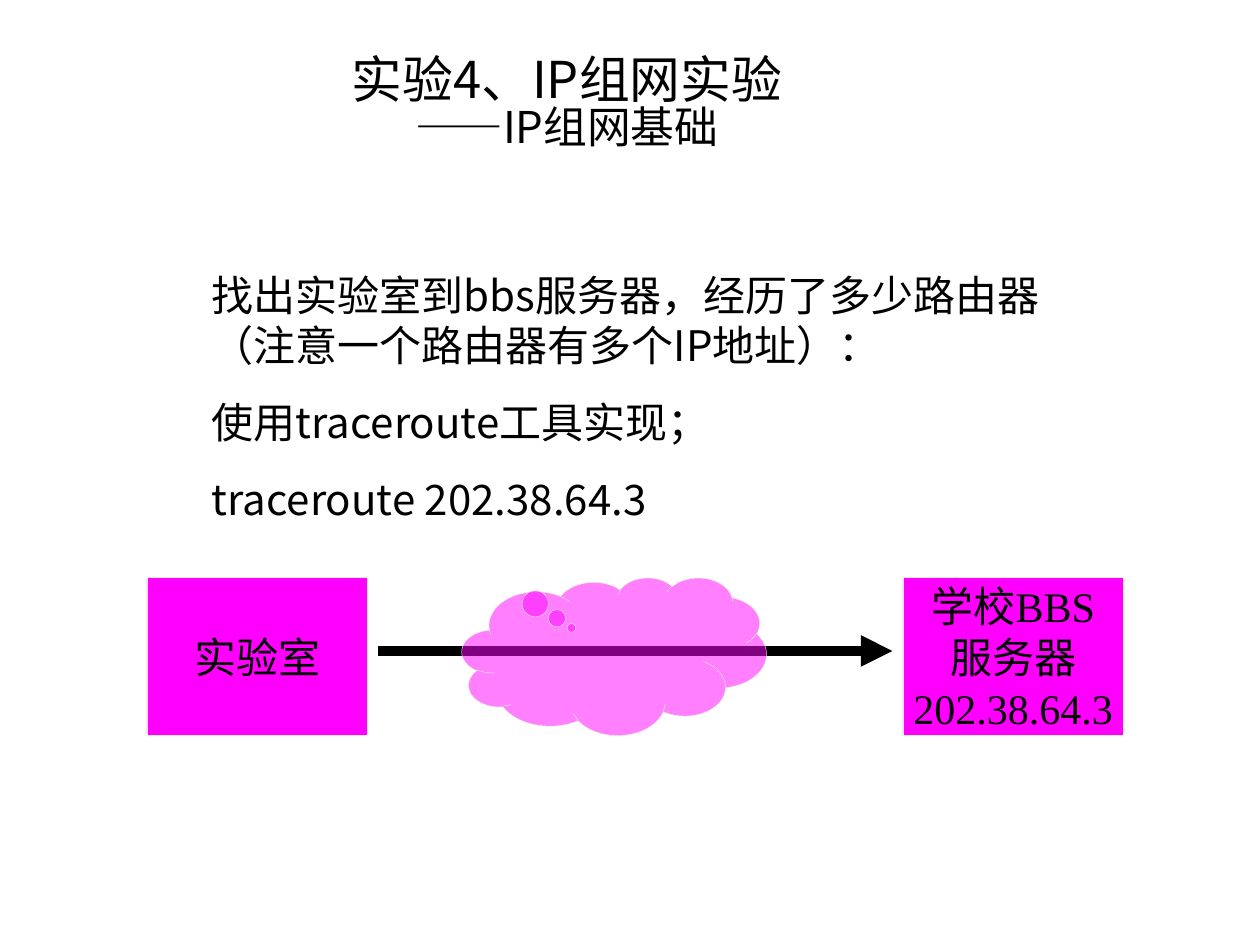
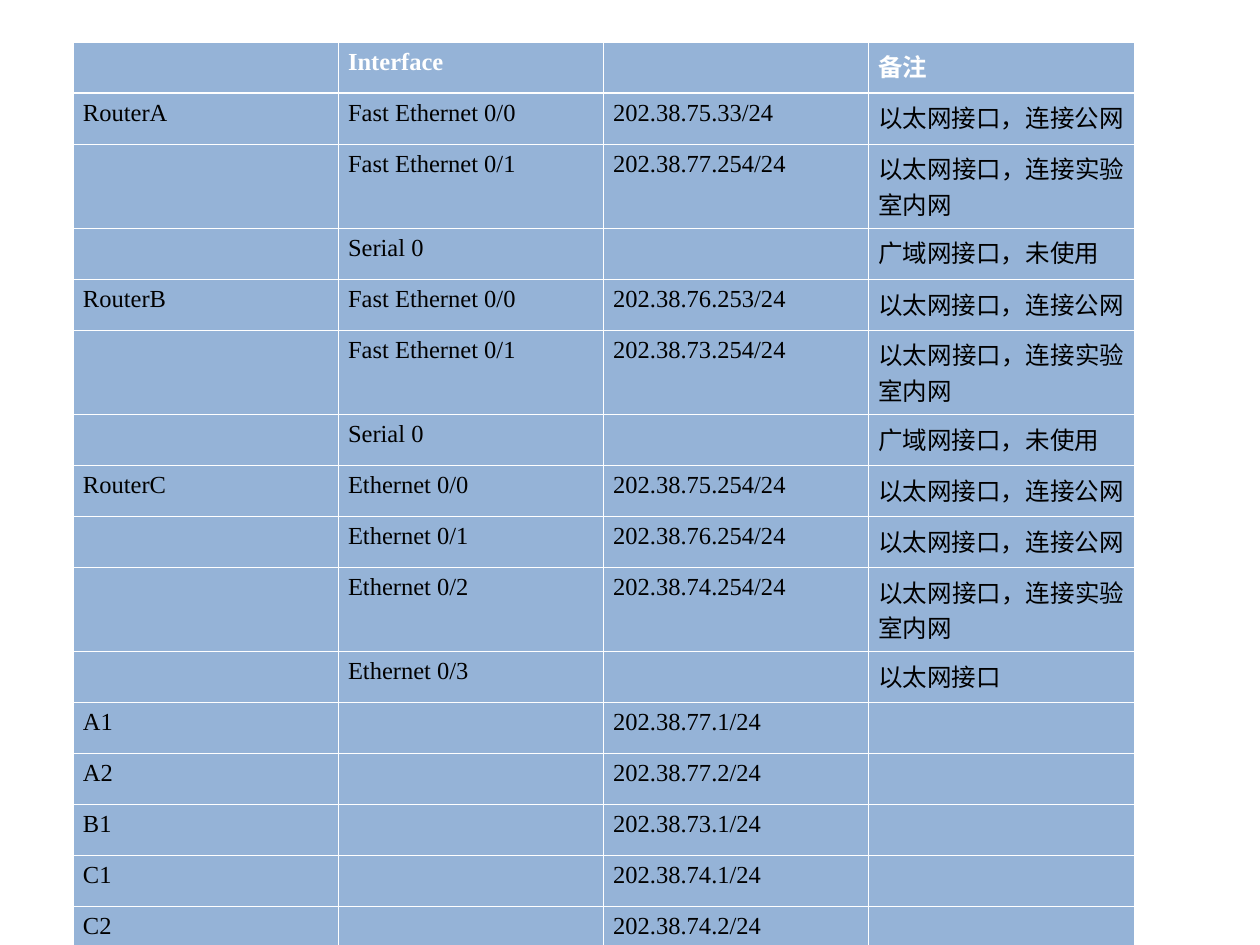
"""Build the two slides on the IP networking lab."""
from lxml import etree
from pptx import Presentation
from pptx import util as u
from pptx.dml.color import RGBColor
from pptx.enum import shapes, text
from pptx.oxml import ns

PX = 7620
HUES = {"ink": "000000", "white": "FFFFFF", "node": "FF00FF",
        "edge": "EEECE1", "cell": "95B3D7"}
SANS = "Noto Sans CJK JP"
SERIF = "Times New Roman"
PUBLIC = "以太网接口，连接公网"
INNER = "以太网接口，连接实验室内网"
UNUSED = "广域网接口，未使用"
ROWS = [
    ("", "Interface", "", "备注"),
    ("RouterA", "Fast Ethernet 0/0", "202.38.75.33/24", PUBLIC),
    ("", "Fast Ethernet 0/1", "202.38.77.254/24", INNER),
    ("", "Serial 0", "", UNUSED),
    ("RouterB", "Fast Ethernet 0/0", "202.38.76.253/24", PUBLIC),
    ("", "Fast Ethernet 0/1", "202.38.73.254/24", INNER),
    ("", "Serial 0", "", UNUSED),
    ("RouterC", "Ethernet 0/0", "202.38.75.254/24", PUBLIC),
    ("", "Ethernet 0/1", "202.38.76.254/24", PUBLIC),
    ("", "Ethernet 0/2", "202.38.74.254/24", INNER),
    ("", "Ethernet 0/3", "", "以太网接口"),
    ("A1", "", "202.38.77.1/24", ""),
    ("A2", "", "202.38.77.2/24", ""),
    ("B1", "", "202.38.73.1/24", ""),
    ("C1", "", "202.38.74.1/24", ""),
    ("C2", "", "202.38.74.2/24", ""),
]


def px(*vals):
    """Turn px lengths into EMU."""
    return [u.Emu(val * PX) for val in vals]


def rgb(hue):
    """Look up a named colour."""
    return RGBColor.from_string(HUES[hue])


def sub(node, tag, **attrs):
    """Append a drawing element to a node."""
    return etree.SubElement(node, ns.qn(tag), attrs)


def add_run(para, words, size, face=SANS, hue="ink", bold=False):
    """Add one run with its fonts and colour."""
    run = para.add_run()
    run.text = words
    font = run.font
    font.name, font.size, font.bold = face, u.Pt(size), bold
    font.color.rgb = rgb(hue)
    sub(run._r.get_or_add_rPr(), "a:ea", typeface=SANS)


def add_lines(frame, lines, face, align, gap=0):
    """Write 24 point paragraphs at a fixed line height."""
    for i, words in enumerate(lines):
        para = frame.paragraphs[0] if i == 0 else frame.add_paragraph()
        para.alignment = align
        para.line_spacing = u.Pt(29)
        para.space_before = u.Pt(gap)
        add_run(para, words, 24, face)


def add_title(slide, head, tail):
    """Add the centred title with its smaller second line."""
    frame = slide.shapes.add_textbox(*px(90, 50, 900, 100)).text_frame
    frame.word_wrap = True
    frame.vertical_anchor = text.MSO_ANCHOR.MIDDLE
    para = frame.paragraphs[0]
    para.alignment = text.PP_ALIGN.CENTER
    para.line_spacing = 0.84
    add_run(para, head, 29)
    para.add_line_break()
    add_run(para, tail, 25)


def add_body(slide, lines):
    """Add the task text."""
    frame = slide.shapes.add_textbox(*px(190, 250, 830, 255)).text_frame
    frame.word_wrap = True
    add_lines(frame, lines, SANS, text.PP_ALIGN.LEFT, 15)


def add_form(slide, kind, left, width):
    """Add a magenta shape in the network row."""
    form = slide.shapes.add_shape(kind, *px(left, 550, width, 150))
    form.shadow.inherit = False
    form.fill.solid()
    form.fill.fore_color.rgb = rgb("node")
    form.line.color.rgb = rgb("edge")
    form.line.width = u.Pt(0.25)
    return form


def add_node(slide, left, lines):
    """Add a labelled end point."""
    node = add_form(slide, shapes.MSO_SHAPE.RECTANGLE, left, 210)
    frame = node.text_frame
    frame.word_wrap = False
    frame.vertical_anchor = text.MSO_ANCHOR.MIDDLE
    add_lines(frame, lines, SERIF, text.PP_ALIGN.CENTER)


def add_arrow(slide, start, end, top):
    """Add the thick arrow between the end points."""
    link = slide.shapes.add_connector(
        shapes.MSO_CONNECTOR.STRAIGHT, *px(start, top, end, top))
    link.line.color.rgb = rgb("ink")
    link.line.width = u.Pt(6)
    sub(link.line._get_or_add_ln(), "a:tailEnd", type="triangle")
    sub(link._element.spPr, "a:effectLst")


def add_cloud(slide):
    """Add the half transparent network cloud."""
    cloud = add_form(slide, shapes.MSO_SHAPE.CLOUD_CALLOUT, 440, 290)
    cloud.adjustments[0] = -0.14
    cloud.adjustments[1] = -0.18
    tint = cloud._element.spPr.find(ns.qn("a:solidFill"))[0]
    sub(tint, "a:alpha", val="50000")


def add_edge(cell, side, width):
    """Draw one white cell border."""
    line = sub(cell._tc.get_or_add_tcPr(), "a:ln" + side,
               w=str(u.Pt(width)))
    fill = sub(line, "a:solidFill")
    sub(fill, "a:srgbClr", val=HUES["white"])


def add_cell(cell, words, row):
    """Style and fill one table cell."""
    cell.margin_left = cell.margin_right = px(9)[0]
    cell.margin_top = cell.margin_bottom = px(6)[0]
    heavy = {(0, "B"), (1, "T")}
    for side in "LRTB":
        add_edge(cell, side, 1.47 if (row, side) in heavy else 0.45)
    cell.fill.solid()
    cell.fill.fore_color.rgb = rgb("cell")
    if words:
        para = cell.text_frame.paragraphs[0]
        para.alignment = text.PP_ALIGN.JUSTIFY
        hue = "ink" if row else "white"
        add_run(para, words, 14, SERIF, hue, row == 0)


def add_grid(slide, rows):
    """Add the address table."""
    grid = slide.shapes.add_table(
        len(rows), len(rows[0]), *px(70, 40, 1010, 776)).table
    grid.first_row = grid.horz_banding = False
    for i, row in enumerate(rows):
        for j, words in enumerate(row):
            add_cell(grid.cell(i, j), words, i)


def main():
    """Build and save the deck."""
    deck = Presentation()
    deck.slide_width, deck.slide_height = px(1200, 900)
    blank = deck.slide_layouts[6]

    trace = deck.slides.add_slide(blank)
    add_node(trace, 140, ["实验室"])
    add_node(trace, 860, ["学校BBS", "服务器", "202.38.64.3"])
    add_arrow(trace, 360, 850, 620)
    add_cloud(trace)
    add_body(trace, [
        "找出实验室到bbs服务器，经历了多少路由器（注意一个路由器有多个IP地址）：",
        "使用traceroute工具实现；",
        "traceroute 202.38.64.3",
    ])
    add_title(trace, "实验4、IP组网实验", "——IP组网基础")

    add_grid(deck.slides.add_slide(blank), ROWS)
    deck.save("out.pptx")


if __name__ == "__main__":
    main()
